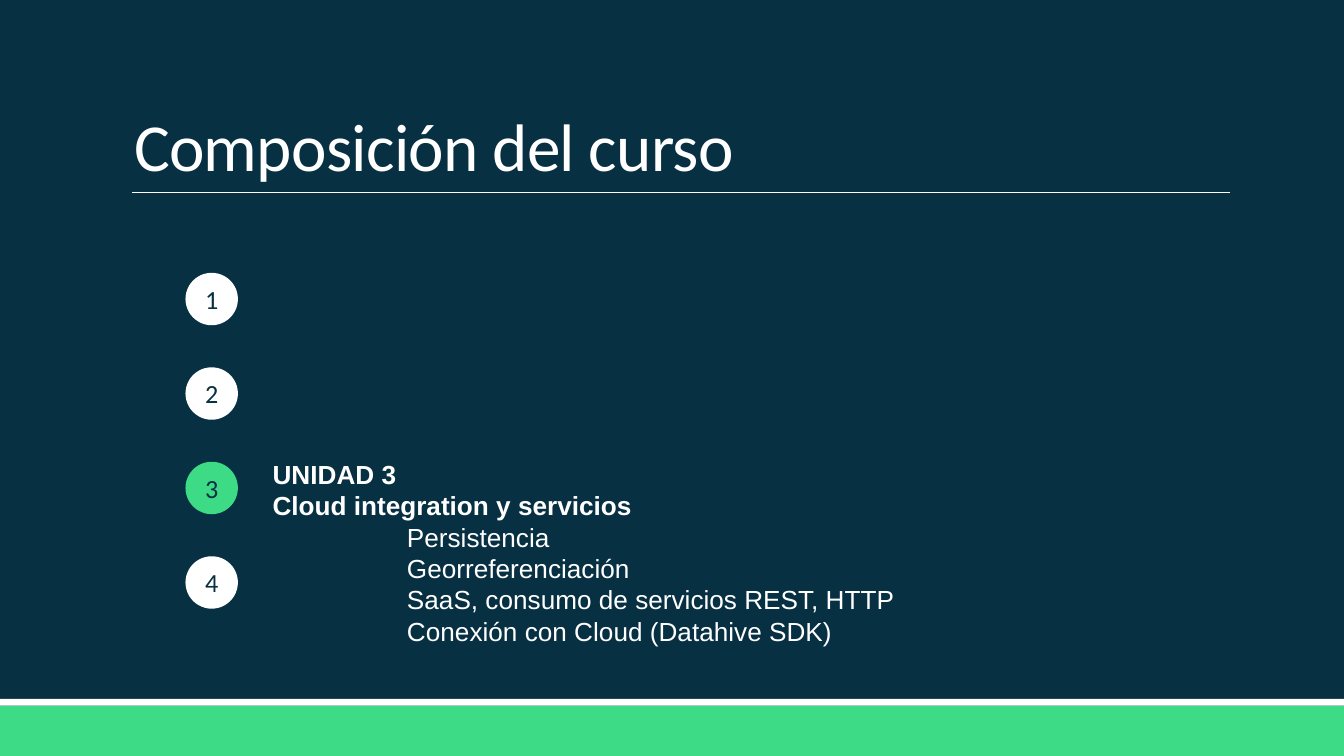
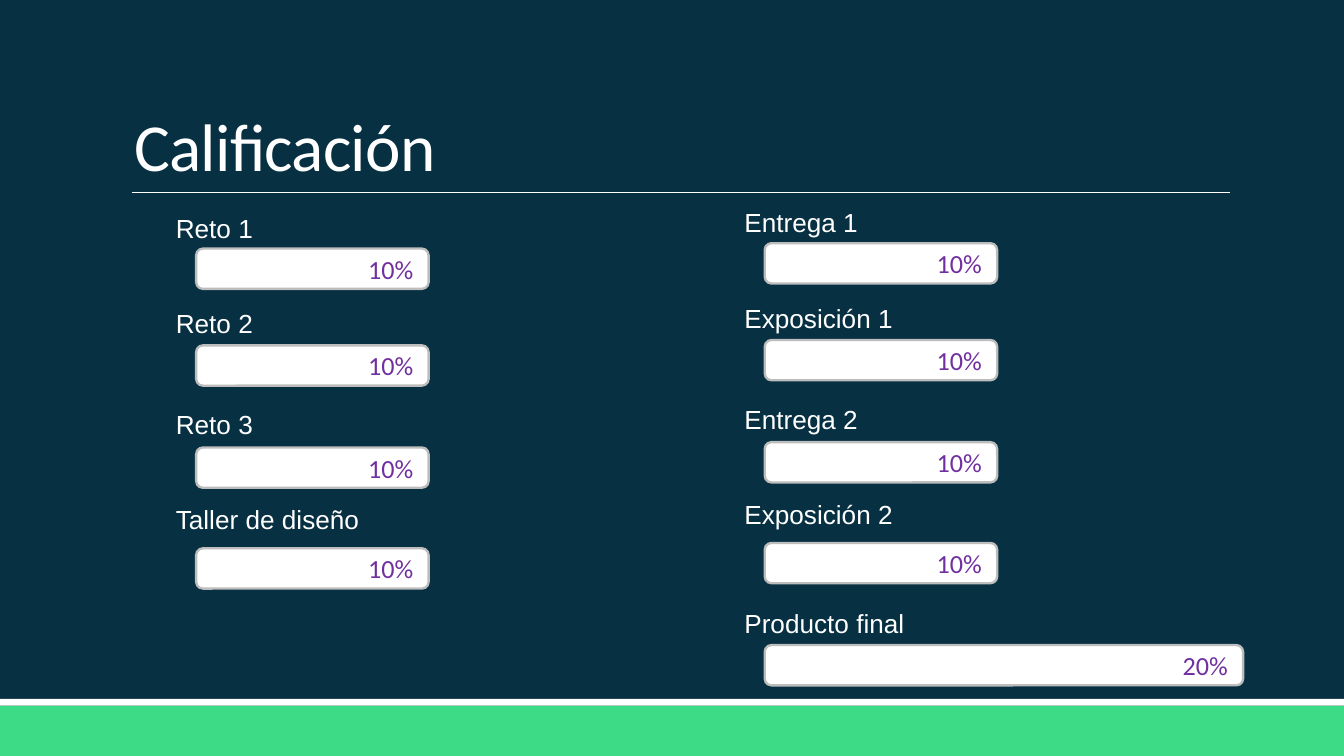
"""Build the course outline and grading slides."""
from lxml import etree
from pptx import Presentation
from pptx import util as u
from pptx.dml.color import RGBColor
from pptx.enum import shapes, text
from pptx.oxml.ns import qn

NAVY = RGBColor(0x07, 0x30, 0x42)
GREEN = RGBColor(0x3D, 0xDB, 0x85)
WHITE = RGBColor(0xFF, 0xFF, 0xFF)
GREY = RGBColor(0xBD, 0xBD, 0xBD)
PURPLE = RGBColor(0x70, 0x30, 0xA0)
HEADING_FONT, BODY_FONT = "Calibri", "Arial"

WIDTH = u.Inches(10)
HEIGHT = WIDTH * 9 // 16
COLUMNS, ROWS = 100, 56.25

UNIT_COUNT, CURRENT_UNIT = 4, 3
UNIT_HEADING = ["UNIDAD 3", "Cloud integration y servicios"]
UNIT_TOPICS = [
    "Persistencia",
    "Georreferenciación",
    "SaaS, consumo de servicios REST, HTTP",
    "Conexión con Cloud (Datahive SDK)",
]

GRADE_ROWS = [(14.9, 18.1), (22, 25.3), (29.5, 32.9), (36.6, 40.4), (44.7, 48)]
GRADE_COLUMNS = [
    (12.1, 0.4, [("Reto 1", 10), ("Reto 2", 10), ("Reto 3", 10),
                 ("Taller de diseño", 10)]),
    (54.4, 0, [("Entrega 1", 10), ("Exposición 1", 10), ("Entrega 2", 10),
               ("Exposición 2", 10), ("Producto final", 20)]),
]
BAR_WIDTHS = {10: 17.3, 20: 35.6}


def write(frame, lines, size=14, font=BODY_FONT, color=WHITE, bold=False,
          align=text.PP_ALIGN.LEFT, anchor=text.MSO_ANCHOR.TOP,
          line_spacing=None, tracking=0, indent=0):
    """Append lines to a text frame in the given format."""
    frame.word_wrap = True
    frame.vertical_anchor = anchor
    for line in lines:
        paragraph = frame.paragraphs[-1]
        if paragraph.runs:
            paragraph = frame.add_paragraph()
        paragraph.alignment = align
        if line_spacing:
            paragraph.line_spacing = line_spacing
        if indent:
            paragraph._p.get_or_add_pPr().set("marL", str(indent))
        run = paragraph.add_run()
        run.text = line
        run.font.size = u.Pt(size)
        run.font.name = font
        run.font.bold = bold
        run.font.color.rgb = color
        if tracking:
            run._r.get_or_add_rPr().set("spc", str(round(tracking * 100)))


class Deck:
    """Hold the style, the presentation and the current slide."""

    def __init__(self):
        """Open an empty presentation of the right size."""
        self.presentation = Presentation()
        self.presentation.slide_width = WIDTH
        self.presentation.slide_height = HEIGHT
        self.slide = None

    def place(self, column, row, columns, rows):
        """Turn grid cells into lengths on the slide."""
        across, down = WIDTH / COLUMNS, HEIGHT / ROWS
        return (round(column * across), round(row * down),
                round(columns * across), round(rows * down))

    def add_slide(self, title):
        """Start a slide with its background, bands, rule and title."""
        layout = self.presentation.slide_layouts[6]
        self.slide = self.presentation.slides.add_slide(layout)
        fill = self.slide.background.fill
        fill.solid()
        fill.fore_color.rgb = NAVY
        rectangle = shapes.MSO_SHAPE.RECTANGLE
        self.add_shape(rectangle, 0, 52.5, COLUMNS, 3.75, GREEN)
        self.add_shape(rectangle, 0, 52, COLUMNS, 0.5, WHITE)
        self.add_rule(9.8, 91.5, 14.3)
        self.add_text([title], 9, 2.4, 82.5, 11.9, size=36, font=HEADING_FONT,
                      anchor=text.MSO_ANCHOR.BOTTOM, line_spacing=0.85,
                      tracking=-0.4)

    def add_rule(self, start, end, row):
        """Draw a thin horizontal line."""
        left, top, width, _ = self.place(start, row, end - start, 0)
        line = self.slide.shapes.add_connector(
            shapes.MSO_CONNECTOR.STRAIGHT, left, top, left + width, top)
        line.line.color.rgb = WHITE
        line.line.width = u.Pt(0.5)
        etree.SubElement(line._element.spPr, qn("a:effectLst"))

    def add_shape(self, kind, column, row, columns, rows, fill, outline=None):
        """Draw a flat preset shape."""
        shape = self.slide.shapes.add_shape(
            kind, *self.place(column, row, columns, rows))
        shape.shadow.inherit = False
        shape.fill.solid()
        shape.fill.fore_color.rgb = fill
        if outline:
            shape.line.color.rgb = outline
            shape.line.width = u.Pt(1.25)
        else:
            shape.line.fill.background()
        return shape

    def add_text(self, lines, column, row, columns, rows, **style):
        """Add a text box and return its frame."""
        box = self.slide.shapes.add_textbox(
            *self.place(column, row, columns, rows))
        write(box.text_frame, lines, **style)
        return box.text_frame

    def add_badge(self, number, column, row, fill):
        """Draw a numbered circle."""
        badge = self.add_shape(shapes.MSO_SHAPE.OVAL, column, row, 3.9, 3.9, fill)
        frame = badge.text_frame
        frame.margin_left = frame.margin_right = 0
        write(frame, [str(number)], font=HEADING_FONT, color=NAVY,
              align=text.PP_ALIGN.CENTER, anchor=text.MSO_ANCHOR.MIDDLE)

    def add_grade(self, label, percent, column, label_row, bar_row):
        """Add a label with its percentage bar."""
        self.add_text([label], column, label_row, 17.3, 3.4)
        bar = self.add_shape(shapes.MSO_SHAPE.ROUNDED_RECTANGLE, column + 2.5,
                             bar_row, BAR_WIDTHS[percent], 3, WHITE, GREY)
        write(bar.text_frame, [f"{percent}%"], font=HEADING_FONT, color=PURPLE,
              align=text.PP_ALIGN.RIGHT, anchor=text.MSO_ANCHOR.MIDDLE)


def build_outline(deck):
    """Build the slide of course units."""
    deck.add_slide("Composición del curso")
    for index in range(UNIT_COUNT):
        number = index + 1
        fill = GREEN if number == CURRENT_UNIT else WHITE
        deck.add_badge(number, 13.8, 20.3 + 7.03 * index, fill)
    frame = deck.add_text(UNIT_HEADING, 19.3, 33.6, 56.7, 15.2, bold=True)
    write(frame, UNIT_TOPICS, indent=u.Inches(1))


def build_grading(deck):
    """Build the slide of grade weights."""
    deck.add_slide("Calificación")
    for column, shift, grades in GRADE_COLUMNS:
        for (label, percent), (label_row, bar_row) in zip(grades, GRADE_ROWS):
            deck.add_grade(label, percent, column, label_row + shift,
                           bar_row + shift)


def main():
    """Build and save the presentation."""
    deck = Deck()
    build_outline(deck)
    build_grading(deck)
    deck.presentation.save("out.pptx")


if __name__ == "__main__":
    main()
